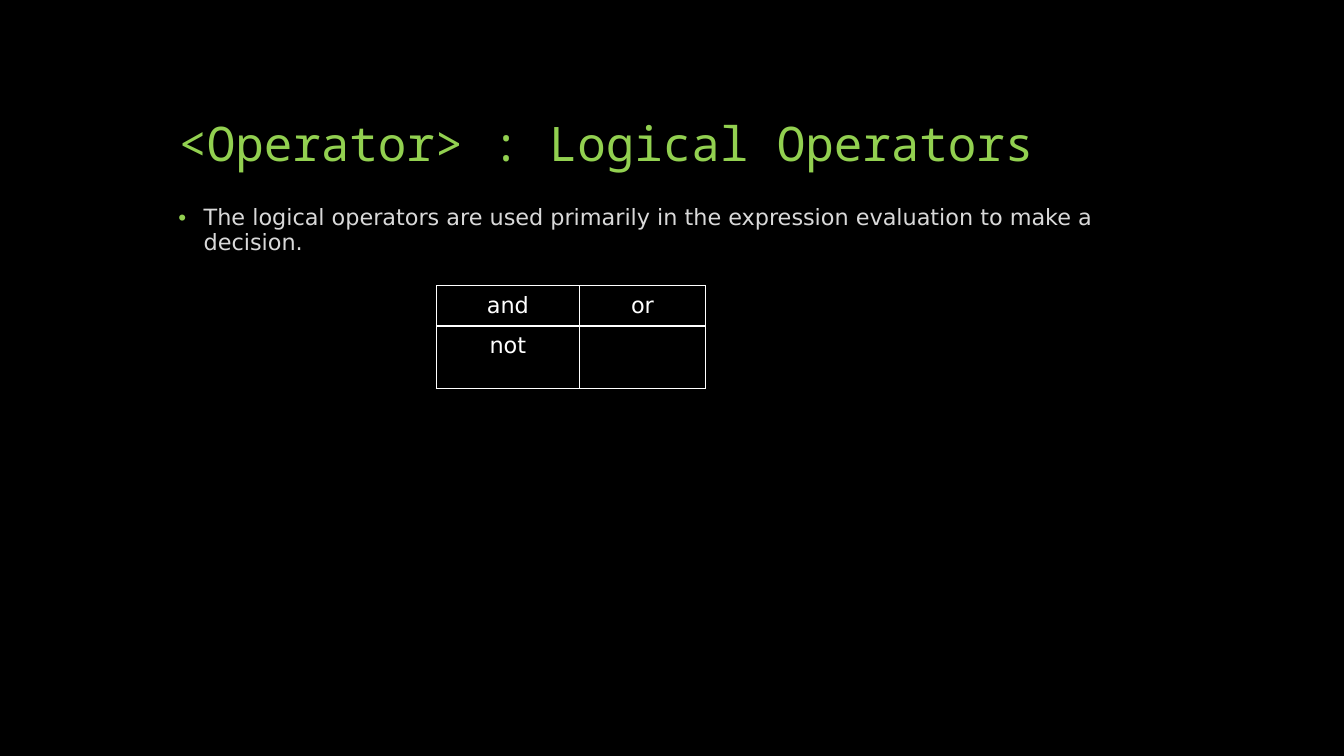
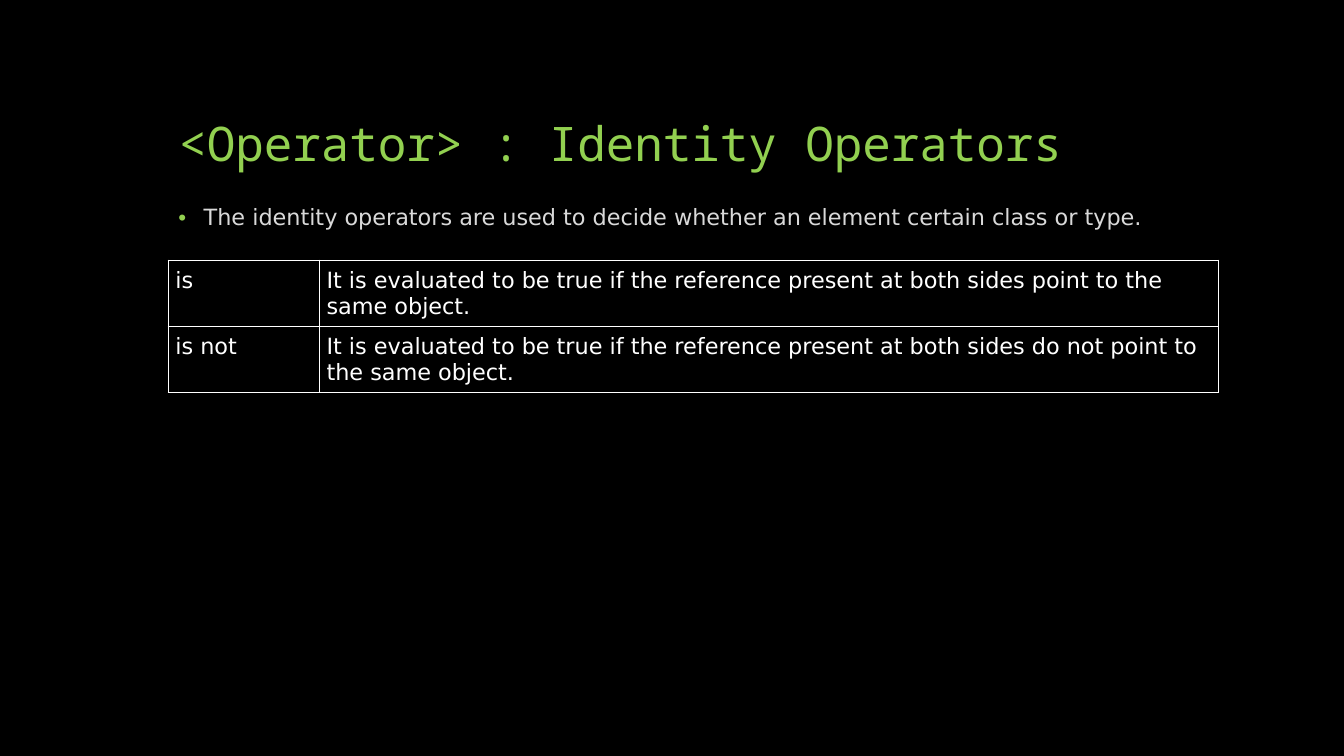
"""Build two slides on logical and identity operators."""
from lxml import etree
from pptx import Presentation
from pptx.dml.color import RGBColor
from pptx.enum.text import MSO_ANCHOR, MSO_AUTO_SIZE, PP_ALIGN
from pptx.oxml.ns import qn
from pptx.util import Cm, Pt

LEFT, CENTER = PP_ALIGN.LEFT, PP_ALIGN.CENTER
BOTTOM, TOP = MSO_ANCHOR.BOTTOM, MSO_ANCHOR.TOP
NO_AUTOFIT = MSO_AUTO_SIZE.NONE

BLACK = RGBColor(0x00, 0x00, 0x00)
WHITE = RGBColor(0xFF, 0xFF, 0xFF)
GREEN = RGBColor(0x92, 0xD0, 0x50)
GREY = RGBColor(0xD9, 0xD9, 0xD9)
TITLE_FONT, BODY_FONT = "Noto Sans Mono", "DejaVu Sans"

MARGIN_LEFT, CONTENT_WIDTH = Cm(4.24), Cm(25.4)
TITLE_BOX = (MARGIN_LEFT, Cm(1.27), CONTENT_WIDTH, Cm(3.18))
BODY_BOX = (MARGIN_LEFT, Cm(5.08), CONTENT_WIDTH, Cm(11.86))
BULLET_INDENT = Cm(0.64)
CELL_MARGIN = Cm(0.18)
ROW_HEIGHTS = (Cm(0.97), Cm(1.58))
BORDER_WIDTH = Pt(1)

SLIDES = [
    {
        "title": "<Operator> : Logical Operators",
        "body": "The logical operators are used primarily in the expression "
                "evaluation to make a decision.",
        "rows": [("and", "or"), ("not", "")],
        "position": (Cm(11), Cm(7.2)),
        "columns": (Cm(3.6), Cm(3.18)),
        "align": CENTER,
    },
    {
        "title": "<Operator> : Identity Operators",
        "body": "The identity operators are used to decide whether an element "
                "certain class or type.",
        "rows": [
            ("is", "It is evaluated to be true if the reference present at "
                   "both sides point to the same object."),
            ("is not", "It is evaluated to be true if the reference present at "
                       "both sides do not point to the same object."),
        ],
        "position": (MARGIN_LEFT, Cm(6.56)),
        "columns": (Cm(3.81), Cm(22.65)),
        "align": LEFT,
    },
]


def write_text(frame, text, *, size=16, font=BODY_FONT, color=WHITE,
               align=LEFT, line_spacing=None, space_before=None):
    """Write one formatted paragraph and return it."""
    paragraph = frame.paragraphs[0]
    paragraph.alignment = align
    paragraph.line_spacing = line_spacing
    paragraph.space_before = space_before
    run = paragraph.add_run()
    run.text = text
    run.font.size = Pt(size)
    run.font.name = font
    run.font.color.rgb = color
    return paragraph


def add_color(parent, color):
    """Append an RGB colour element."""
    etree.SubElement(parent, qn("a:srgbClr"), val=str(color))


def add_bullet(paragraph, color):
    """Give a paragraph a coloured bullet with a hanging indent."""
    properties = paragraph._p.get_or_add_pPr()
    properties.set("marL", str(BULLET_INDENT))
    properties.set("indent", str(-BULLET_INDENT))
    add_color(etree.SubElement(properties, qn("a:buClr")), color)
    etree.SubElement(properties, qn("a:buFont"), typeface="Arial")
    etree.SubElement(properties, qn("a:buChar"), char="•")


def add_borders(cell, color):
    """Draw a line on all four sides of a cell."""
    properties = cell._tc.get_or_add_tcPr()
    for index, side in enumerate(("lnL", "lnR", "lnT", "lnB")):
        line = etree.Element(qn(f"a:{side}"), w=str(BORDER_WIDTH))
        add_color(etree.SubElement(line, qn("a:solidFill")), color)
        properties.insert(index, line)


def add_operator_table(slide, rows, position, columns, align):
    """Add a bordered table without fill."""
    table = slide.shapes.add_table(len(rows), len(columns), *position,
                                   sum(columns), sum(ROW_HEIGHTS)).table
    table.first_row = table.horz_banding = False
    for column, width in zip(table.columns, columns):
        column.width = width
    for row, height, texts in zip(table.rows, ROW_HEIGHTS, rows):
        row.height = height
        for cell, text in zip(row.cells, texts):
            cell.margin_left = cell.margin_right = CELL_MARGIN
            cell.margin_top = cell.margin_bottom = CELL_MARGIN
            cell.fill.background()
            add_borders(cell, WHITE)
            if text:
                write_text(cell.text_frame, text, align=align)


def prepare_layout(presentation):
    """Set the shared background and placeholder places, return the layout."""
    fill = presentation.slide_master.background.fill
    fill.solid()
    fill.fore_color.rgb = BLACK
    layout = presentation.slide_layouts[1]
    for index, box, anchor in ((0, TITLE_BOX, BOTTOM), (1, BODY_BOX, TOP)):
        placeholder = layout.placeholders[index]
        placeholder.left, placeholder.top, placeholder.width, placeholder.height = box
        placeholder.text_frame.vertical_anchor = anchor
        placeholder.text_frame.auto_size = NO_AUTOFIT
    return layout


def add_operator_slide(presentation, layout, content):
    """Add a slide with a title, a bullet and a table."""
    slide = presentation.slides.add_slide(layout)
    write_text(slide.shapes.title.text_frame, content["title"], size=34,
               font=TITLE_FONT, color=GREEN, line_spacing=0.9)
    bullet = write_text(slide.placeholders[1].text_frame, content["body"],
                        color=GREY, line_spacing=0.9, space_before=Pt(18))
    add_bullet(bullet, GREEN)
    add_operator_table(slide, content["rows"], content["position"],
                       content["columns"], content["align"])


def main():
    """Build and save the presentation."""
    presentation = Presentation()
    presentation.slide_width, presentation.slide_height = Cm(33.87), Cm(19.05)
    layout = prepare_layout(presentation)
    for content in SLIDES:
        add_operator_slide(presentation, layout, content)
    presentation.save("out.pptx")


if __name__ == "__main__":
    main()
